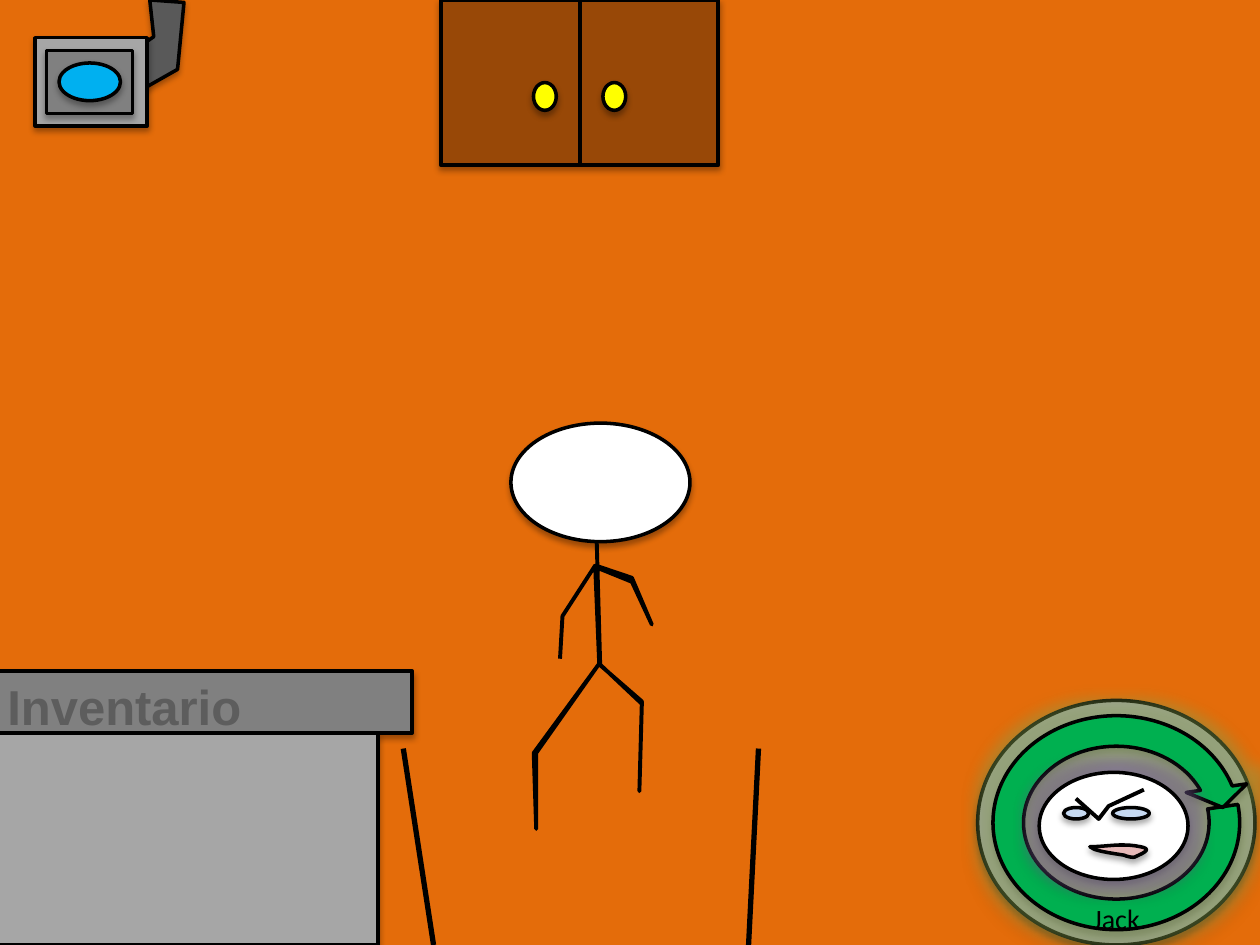
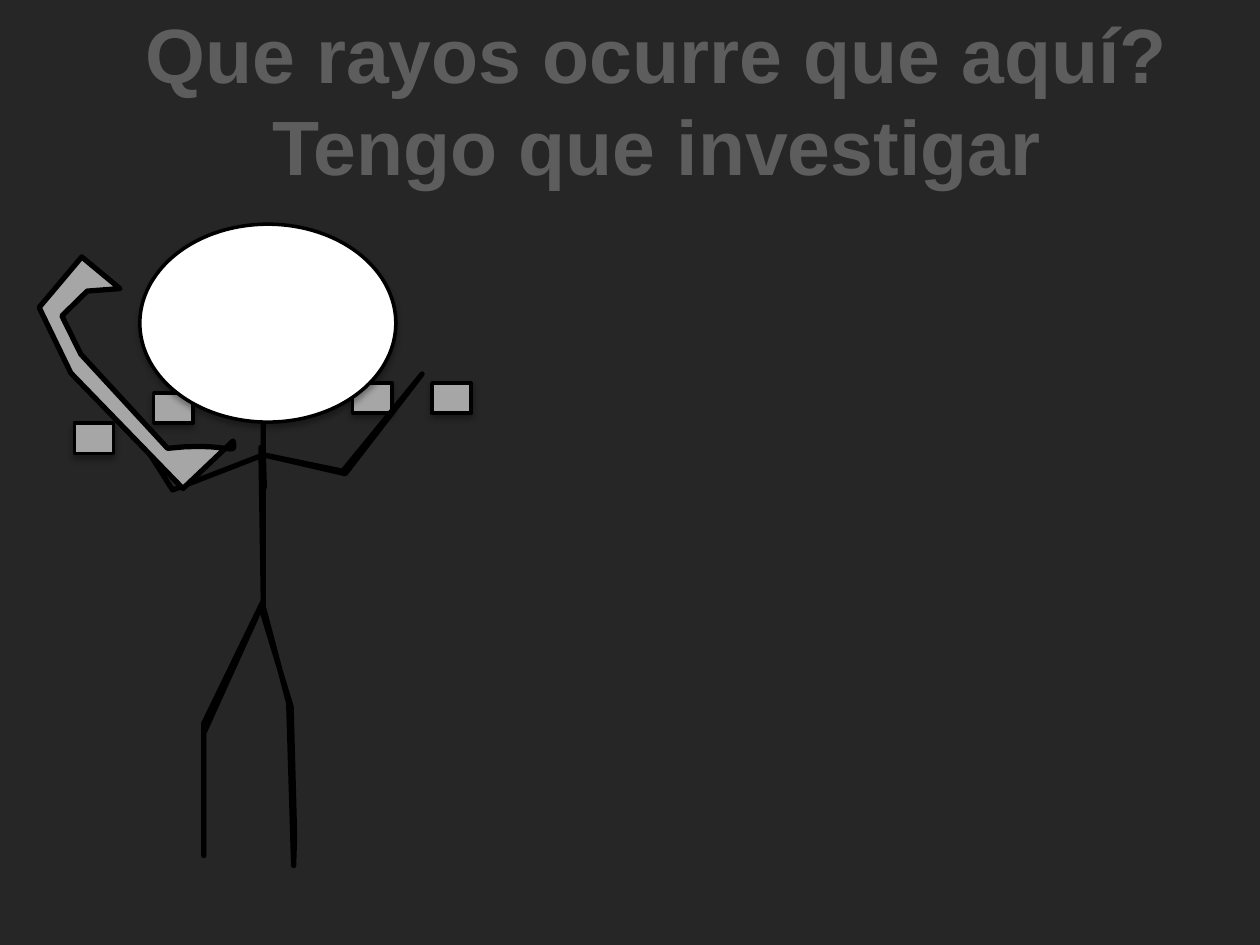
from lxml.etree import SubElement
from pptx import Presentation
from pptx.dml.color import RGBColor
from pptx.enum.shapes import MSO_CONNECTOR, MSO_SHAPE
from pptx.enum.text import MSO_ANCHOR, PP_ALIGN
from pptx.oxml.ns import qn
from pptx.util import Cm, Pt

# Colours
BLACK = RGBColor(0x00, 0x00, 0x00)
WHITE = RGBColor(0xFF, 0xFF, 0xFF)
WALL = RGBColor(0xE4, 0x6C, 0x0A)
NIGHT = RGBColor(0x26, 0x26, 0x26)
LIGHT_GREY = RGBColor(0xA6, 0xA6, 0xA6)
MID_GREY = RGBColor(0x80, 0x80, 0x80)
DARK_GREY = RGBColor(0x59, 0x59, 0x59)
LETTERING = RGBColor(0x5D, 0x5D, 0x5D)
WOOD = RGBColor(0x98, 0x48, 0x07)
YELLOW = RGBColor(0xFF, 0xFF, 0x00)
LENS_BLUE = RGBColor(0x00, 0xB0, 0xF0)
GREEN = RGBColor(0x00, 0xB0, 0x50)
LIP_PINK = RGBColor(0xE6, 0xB9, 0xB8)
EYE_BLUE = RGBColor(0xC6, 0xD9, 0xF1)
OLIVE_GLOW = RGBColor(0x9B, 0xBB, 0x59)
VIOLET_GLOW = RGBColor(0x80, 0x64, 0xA2)

SLIDE_W, SLIDE_H = 25.4, 19.05

# Joints of the two stick figures, from the top left of each figure (cm)
STANDING_BODY = [
    (1.73, 2.39), (1.8, 4.88), (2.64, 5.61), (2.59, 7.42), (2.64, 5.66),
    (1.78, 4.85), (0.51, 6.65), (0.51, 8.18), (0.46, 6.65), (1.78, 4.85),
    (1.7, 2.9), (2.44, 3.2), (2.84, 4.06), (2.44, 3.12), (1.7, 2.87),
    (1.04, 3.89), (0.99, 4.75)]
WORKER_BODY = [
    (3, 3.89), (3, 7.59), (1.8, 10.06), (1.8, 12.73), (1.8, 10.26),
    (2.95, 7.72), (3.56, 9.73), (3.63, 12.32), (3.61, 12.93), (3.51, 9.65),
    (3, 7.72), (2.95, 4.5), (3.02, 5.31), (3, 4.65), (4.6, 4.98),
    (6.2, 3.02), (4.65, 5.03), (3, 4.65), (1.17, 5.36), (0, 3.51)]


# Drawing helpers
def add_colour(parent, color, alpha):
    c = SubElement(parent, qn("a:srgbClr"), val=str(color))
    SubElement(c, qn("a:alpha"), val=str(alpha * 1000))


def add_effects(sp, glow=None):
    """Soft shadow below the shape, with an optional (colour, points) glow."""
    sp.shadow.inherit = False
    effects = sp._element.spPr.find(qn("a:effectLst"))
    if glow:
        color, radius = glow
        el = SubElement(effects, qn("a:glow"), rad=str(Pt(radius)))
        add_colour(el, color, 40)
    el = SubElement(effects, qn("a:outerShdw"), blurRad=str(Pt(3.5)),
                    dist=str(Pt(2.2)), dir="5400000", rotWithShape="0")
    add_colour(el, BLACK, 32)


def ink(sp, width):
    sp.line.color.rgb = BLACK
    sp.line.width = Pt(width)


def add_solid(s, kind, box, rect, fill, width=2, glow=None):
    x, y, w, h = rect
    sp = s.shapes.add_shape(kind, Cm(box[0] + x), Cm(box[1] + y), Cm(w), Cm(h))
    sp.fill.solid()
    sp.fill.fore_color.rgb = fill
    ink(sp, width)
    add_effects(sp, glow)
    return sp


def add_line(s, box, start, end, width):
    ends = [Cm(box[i] + pt[i]) for pt in (start, end) for i in (0, 1)]
    sp = s.shapes.add_connector(MSO_CONNECTOR.STRAIGHT, *ends)
    ink(sp, width)
    SubElement(sp._element.spPr, qn("a:effectLst"))


def curve(p0, p1, p2, p3, steps=10):
    """Points of a cubic curve, without its start."""
    points = []
    for n in range(1, steps + 1):
        t = n / steps
        u = 1 - t
        points.append(tuple(
            u**3 * a + 3 * u * u * t * b + 3 * u * t * t * c + t**3 * d
            for a, b, c, d in zip(p0, p1, p2, p3)))
    return points


def add_outline(s, box, points, width, fill=None, shadow=False):
    """Open stroke, or a closed area when a fill is given."""
    pts = [(Cm(box[0] + x), Cm(box[1] + y)) for x, y in points]
    builder = s.shapes.build_freeform(*pts[0])
    builder.add_line_segments(pts[1:], close=fill is not None)
    sp = builder.convert_to_shape()
    if fill is None:
        sp.fill.background()
    else:
        sp.fill.solid()
        sp.fill.fore_color.rgb = fill
    ink(sp, width)
    if shadow:
        add_effects(sp)
    else:
        sp.shadow.inherit = False


def format_text(tf, font, size, color, bold=False, align=PP_ALIGN.LEFT):
    tf.word_wrap = True
    for p in tf.paragraphs:
        p.alignment = align
        for r in p.runs:
            r.font.name, r.font.size, r.font.bold = font, Pt(size), bold
            r.font.color.rgb = color


def add_text(s, box, rect, text):
    x, y, w, h = rect
    sp = s.shapes.add_textbox(Cm(box[0] + x), Cm(box[1] + y), Cm(w), Cm(h))
    sp.text_frame.text = text
    return sp.text_frame


def new_slide(prs, layout, background):
    s = prs.slides.add_slide(prs.slide_layouts[layout])
    s.background.fill.solid()
    s.background.fill.fore_color.rgb = background
    return s


# Parts of the room
def draw_table_legs(s, box):
    w, h = box[2:]
    add_line(s, box, (0, 0), (0.61, h), 3)
    add_line(s, box, (w, 0), (w - 0.2, h), 3)


def draw_inventory(s, box):
    w, h = box[2:]
    header_h = 1.25
    add_solid(s, MSO_SHAPE.RECTANGLE, box, (0, 0, w, header_h), MID_GREY)
    tf = add_text(s, box, (0, -0.02, 5.46, 1.45), "Inventario")
    format_text(tf, "Arial", 28, LETTERING, bold=True)
    add_solid(s, MSO_SHAPE.RECTANGLE, box,
              (0, header_h, w - 0.69, h - header_h), LIGHT_GREY)


def draw_standing_figure(s, box):
    add_solid(s, MSO_SHAPE.OVAL, box, (0, 0, 3.61, 2.39), WHITE)
    add_outline(s, box, STANDING_BODY, 2.25)


def draw_cabinet(s, box):
    w, h = box[2:]
    knob_w, knob_h = 0.46, 0.56
    add_solid(s, MSO_SHAPE.RECTANGLE, box, (0, 0, w, h), WOOD, 2.25)
    add_line(s, box, (w / 2, 0), (w / 2, h), 2.25)
    for offset in (-0.7, 0.7):
        x = w / 2 + offset - knob_w / 2
        add_solid(s, MSO_SHAPE.OVAL, box, (x, h / 2, knob_w, knob_h), YELLOW)


def draw_camera(s, box):
    mount = [(1.22, 1.3), (1.22, 1.96), (1.88, 1.96), (2.87, 1.4),
             (3, 0.05), (2.31, 0), (2.39, 0.74), (1.78, 1.17)]
    add_outline(s, box, mount, 2, DARK_GREY, shadow=True)
    add_solid(s, MSO_SHAPE.RECTANGLE, box, (0, 0.76, 2.26, 1.78), LIGHT_GREY)
    add_solid(s, MSO_SHAPE.RECTANGLE, box, (0.23, 1.02, 1.73, 1.27), MID_GREY)
    add_solid(s, MSO_SHAPE.OVAL, box, (0.48, 1.27, 1.24, 0.76), LENS_BLUE)


def draw_player_badge(s, box):
    w, h = box[2:]
    # Disc and turning arrow
    add_solid(s, MSO_SHAPE.OVAL, box, (0, 0, w, h), LIGHT_GREY)
    arrow = add_solid(s, MSO_SHAPE.CIRCULAR_ARROW, box, (0, 0, w, h), GREEN,
                      glow=(OLIVE_GLOW, 18))
    for i, value in enumerate((0.125, 6.582, 204.577, 210.876, 0.125)):
        arrow.adjustments[i] = value
    # Player name
    tf = add_text(s, box, (0, 4.05, w, 0.7), "Jack")
    tf.margin_top = tf.margin_bottom = 0
    tf.vertical_anchor = MSO_ANCHOR.MIDDLE
    format_text(tf, "Calibri", 16, BLACK, align=PP_ALIGN.CENTER)
    # Angry face
    add_solid(s, MSO_SHAPE.OVAL, box, (1.24, 1.45, 3, 2.16), WHITE,
              glow=(VIOLET_GLOW, 14))
    mouth = [(2.26, 2.95)]
    for bend in [((2.59, 2.95), (2.9, 2.87), (3.28, 2.95)),
                 ((3.56, 3), (3.28, 3.1), (3.18, 3.15)),
                 ((3.15, 3.18), (3.02, 3.15), (2.95, 3.12)),
                 ((2.29, 3.02), (2.36, 3), (2.26, 2.95))]:
        mouth += curve(mouth[-1], *bend)
    add_outline(s, box, mouth, 2, LIP_PINK, shadow=True)
    brows = [(1.98, 1.98), (2.44, 2.39), (2.64, 2.13), (3.35, 1.8)]
    add_outline(s, box, brows, 2.25)
    for x, eye_w in ((2.72, 0.74), (1.73, 0.51)):
        add_solid(s, MSO_SHAPE.OVAL, box, (x, 2.16, eye_w, 0.23), EYE_BLUE)


# Parts of the investigation
def draw_heading(s, box):
    title = s.shapes.title
    title.left, title.top, title.width, title.height = map(Cm, box)
    tf = title.text_frame
    tf.text = "Que rayos ocurre que aquí?\nTengo que investigar"
    tf.vertical_anchor = MSO_ANCHOR.TOP
    format_text(tf, "Arial", 44, LETTERING, bold=True, align=PP_ALIGN.CENTER)


def draw_blocks(s, corners):
    for corner in corners:
        add_solid(s, MSO_SHAPE.RECTANGLE, corner, (0, 0, 0.79, 0.61),
                  LIGHT_GREY)


def draw_worker(s, box):
    add_outline(s, box, WORKER_BODY, 3)
    add_solid(s, MSO_SHAPE.OVAL, box, (0.51, 0, 5.16, 3.99), WHITE)


def draw_wrench(s, box):
    points = [(3.91, 3.71), (2.9, 4.67), (0.64, 2.34), (0, 1.02), (0.86, 0),
              (1.63, 0.64), (0.97, 0.69), (0.46, 1.19), (0.84, 1.96),
              (2.59, 3.86)]
    points += curve(points[-1], (3.84, 3.71), (3.99, 4.06), points[0])
    add_outline(s, box, points, 3, LIGHT_GREY)


# Slides
def build_room(prs):
    s = new_slide(prs, 6, WALL)
    draw_table_legs(s, (8.13, 15.09, 7.16, 3.96))
    draw_inventory(s, (-0.1, 13.53, 8.41, 5.52))
    draw_standing_figure(s, (10.3, 8.53))
    draw_cabinet(s, (8.89, 0, 5.59, 3.33))
    draw_camera(s, (0.71, 0))
    draw_player_badge(s, (19.71, 14.12, 5.59, 4.93))


def build_investigation(prs):
    s = new_slide(prs, 5, NIGHT)
    draw_heading(s, (1.09, 0, 24.31, 4.01))
    draw_blocks(s, [(7.11, 7.72), (3.1, 7.92)])
    draw_worker(s, (2.31, 4.52))
    draw_blocks(s, [(1.5, 8.53), (8.71, 7.72)])
    draw_wrench(s, (0.79, 5.18))


def main():
    prs = Presentation()
    prs.slide_width, prs.slide_height = Cm(SLIDE_W), Cm(SLIDE_H)
    build_room(prs)
    build_investigation(prs)
    prs.save("out.pptx")


if __name__ == "__main__":
    main()
